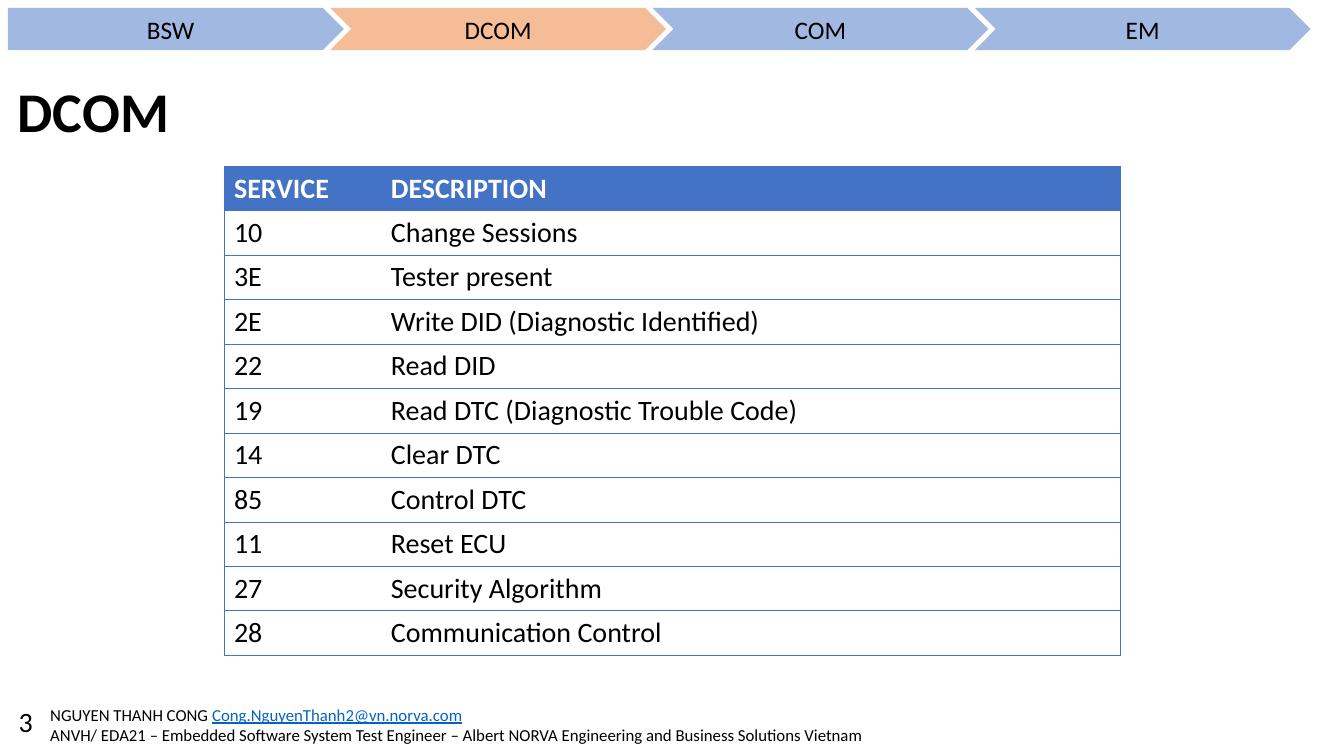
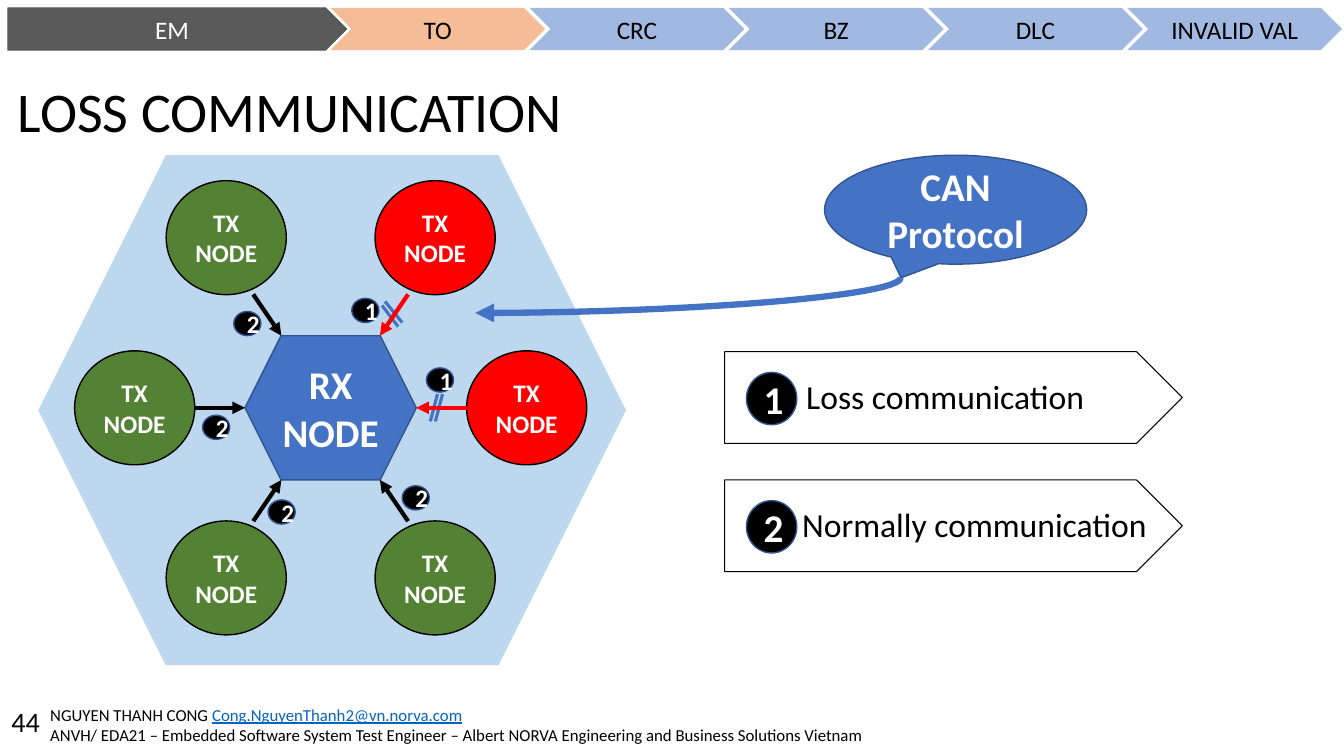
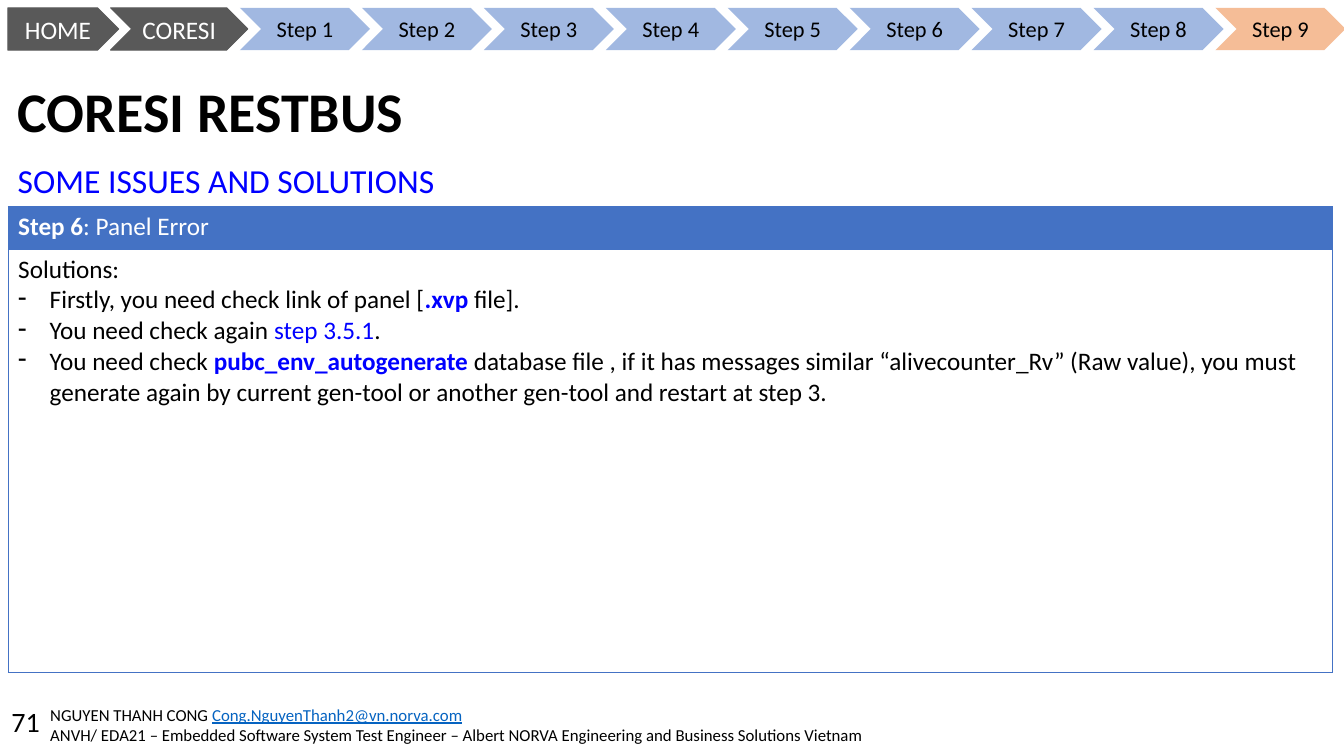
from lxml import etree
from pptx import Presentation
from pptx.dml.color import RGBColor
from pptx.enum.shapes import MSO_CONNECTOR, MSO_SHAPE
from pptx.enum.text import MSO_ANCHOR, PP_ALIGN
from pptx.oxml.ns import qn
from pptx.util import Pt

PENTAGON, CHEVRON = MSO_SHAPE.PENTAGON, MSO_SHAPE.CHEVRON
HEXAGON, OVAL = MSO_SHAPE.HEXAGON, MSO_SHAPE.OVAL
CALLOUT = MSO_SHAPE.OVAL_CALLOUT
STRAIGHT, CURVE = MSO_CONNECTOR.STRAIGHT, MSO_CONNECTOR.CURVE
CENTER = PP_ALIGN.CENTER
BOTTOM, MIDDLE = MSO_ANCHOR.BOTTOM, MSO_ANCHOR.MIDDLE

FONT = "Calibri"
NO_GRID_STYLE = "{2D5ABB26-0587-4C30-8999-92F81FD0307C}"
COLORS = {
    "black": "000000", "white": "FFFFFF", "blue": "4472C4", "orange": "ED7D31",
    "navy": "325491", "gray": "595959", "sky": "BDD7EE", "green": "548235",
    "red": "FF0000", "link": "0563C1", "accent": "0000FF",
}
RGB = {name: RGBColor.from_string(value) for name, value in COLORS.items()}


def write(tf, paragraphs, size, color="black", bold=False, align=None):
    """Fill a text frame; a run is a string or a (text, color, bold) tuple."""
    tf.word_wrap = True
    for i, runs in enumerate(paragraphs):
        p = tf.paragraphs[0] if i == 0 else tf.add_paragraph()
        p.alignment = align
        for run in runs:
            text, run_color, run_bold = (run, color, bold) if isinstance(run, str) else run
            r = p.add_run()
            r.text = text
            r.font.name, r.font.size, r.font.bold = FONT, Pt(size), run_bold
            r.font.color.rgb = RGB[run_color]
            r.font.underline = True if run_color == "link" else None


def add_box(s, kind, box, fill=None, line=None, weight=1, text="", size=18, color="white", bold=True):
    """Add a preset shape, or a text box when kind is None."""
    box = [Pt(v) for v in box]
    if kind is None:
        sp = s.shapes.add_textbox(*box)
        write(sp.text_frame, [[text]] if isinstance(text, str) else text, size, color, bold)
        return sp
    sp = s.shapes.add_shape(kind, *box)
    sp.shadow.inherit = False
    if fill:
        sp.fill.solid()
        sp.fill.fore_color.rgb = RGB[fill]
    else:
        sp.fill.background()
    if line:
        sp.line.color.rgb = RGB[line]
        sp.line.width = Pt(weight)
    else:
        sp.line.fill.background()
    if text:
        sp.text_frame.vertical_anchor = MIDDLE
        write(sp.text_frame, [[text]], size, color, bold, CENTER)
    return sp


prs = Presentation()
prs.slide_width, prs.slide_height = Pt(960), Pt(540)

# Shared frame: page number, footer, title and navigation bar
FOOTER = [
    ["NGUYEN THANH CONG ", ("Cong.NguyenThanh2@vn.norva.com", "link", False)],
    ["ANVH/ EDA21 – Embedded Software System Test Engineer – "
     "Albert NORVA Engineering and Business Solutions Vietnam"],
]
# Tab: label, left, width, fill, text size
service_tabs = [(label, 5.6 + 230.2 * i, 240, "orange" if label == "DCOM" else "blue", 18)
                for i, label in enumerate(["BSW", "DCOM", "COM", "EM"])]
error_tabs = [("EM", 5.6, 242, "gray", 18)] + [
    (label, 236 + 142.3 * i, 153.4, "orange" if label == "TO" else "blue", 18)
    for i, label in enumerate(["TO", "CRC", "BZ", "DLC", "INVALID VAL"])]
step_tabs = [("HOME", 5.6, 79.2, "gray", 18), ("CORESI", 79, 98, "gray", 18)] + [
    (f"Step {i + 1}", 171.4 + 87.1 * i, 92.9, "orange" if i == 8 else "blue", 16)
    for i in range(9)]
PAGES = [
    ("3", "DCOM", True, service_tabs),
    ("44", "LOSS COMMUNICATION", False, error_tabs),
    ("71", "CORESI RESTBUS", True, step_tabs),
]
slides = []
for number, title, title_bold, tabs in PAGES:
    s = prs.slides.add_slide(prs.slide_layouts[6])
    slides.append(s)
    page = add_box(s, None, (0, 499.7, 36.7, 28.8), text=number, size=20, color="black", bold=False)
    page.text_frame.paragraphs[0].alignment = CENTER
    add_box(s, None, (28.8, 499.7, 618.5, 28.8), text=FOOTER, size=12, color="black", bold=False)
    heading = add_box(s, None, (5.6, 40.3, 782, 66.2), text=title, size=40, color="black", bold=title_bold)
    heading.text_frame.vertical_anchor = BOTTOM
    heading.text_frame.paragraphs[0].line_spacing = 0.9
    for i, (label, left, width, fill, size) in enumerate(tabs):
        solid = fill == "gray"
        tab = add_box(s, CHEVRON if i else PENTAGON, (left, 5.6, width, 30.2), fill,
                      "gray" if solid else None, 0.75, label, size,
                      "white" if solid else "black", False)
        if not solid:
            rgb = tab.fill._xPr.find(qn("a:solidFill"))[0]
            etree.SubElement(rgb, qn("a:alpha"), val="50000")

service_slide, loss_slide, issue_slide = slides

# Loss communication: nodes around the receiver
s = loss_slide
add_box(s, HEXAGON, (27.4, 110.9, 419.8, 364.3), "sky")
hub_x, hub_y = 236.2, 291.3
add_box(s, HEXAGON, (hub_x - 61.2, hub_y - 51.5, 122.4, 103), "blue", "navy", text="RX NODE", size=28)

# Node: horizontal side, vertical side, lost, badge left, badge top
NODES = [
    (-1, -1, False, 167, 222.5),
    (-1, 0, False, 144.7, 296.6),
    (-1, 1, False, 191.5, 357.1),
    (1, 1, False, 287.3, 347),
    (1, 0, True, 304.6, 262.8),
    (1, -1, True, 251.3, 213.1),
]
# Link: kind, start, end, color, weight, arrow
links = [(STRAIGHT, start, end, "blue", 2.25, False) for start, end in [
    ((272.9, 218.2), (284.4, 233.3)), ((275, 215.3), (287.3, 230.4)),
    ((312.5, 281.5), (307.4, 301)), ((316.1, 281.5), (311, 301))]]
for side_x, side_y, lost, badge_x, badge_y in NODES:
    x = hub_x + side_x * (74.6 if side_y else 140)
    y = hub_y + side_y * 121.5
    add_box(s, OVAL, (x - 42.9, y - 40.7, 85.8, 81.4), "red" if lost else "green", "black", text="TX NODE")
    add_box(s, OVAL, (badge_x, badge_y, 19.4, 17.3), "black", "navy", text="1" if lost else "2")
    outer, inner = (55.3, 35.2) if side_y else (97.2, 61.2)
    links.append((STRAIGHT, (hub_x + side_x * outer, hub_y + side_y * 81),
                  (hub_x + side_x * inner, hub_y + side_y * 51.5),
                  "red" if lost else "black", 3, True))

for i, (label, left) in enumerate([("Loss communication", 568.8), ("Normally communication", 565.9)]):
    top = 251.2 + 91.6 * i
    add_box(s, PENTAGON, (517.7, top, 326.9, 65.5), None, "black", 0.75)
    add_box(s, OVAL, (533.2, top + 14.8, 36, 37.4), "black", "navy", text=str(i + 1), size=28)
    add_box(s, None, (left, top + 13.7, 281.5, 36), text=label, size=24, color="black", bold=False)
add_box(s, CALLOUT, (589, 110.9, 187.2, 77.8), "blue", "navy", text="CAN Protocol", size=28)

links.append((CURVE, (478.8, 59), (504, 362.9), "blue", 4.5, True))
for kind, start, end, color, weight, arrow in links:
    c = s.shapes.add_connector(kind, *[Pt(v) for v in start + end])
    c.line.color.rgb = RGB[color]
    c.line.width = Pt(weight)
    spPr = c._element.spPr
    if arrow:
        etree.SubElement(spPr.find(qn("a:ln")), qn("a:tailEnd"), type="triangle")
    etree.SubElement(spPr, qn("a:effectLst"))
    if kind == CURVE:
        # A quarter turn makes the arrow leave downwards and arrive leftwards
        spPr.find(qn("a:prstGeom")).set("prst", "curvedConnector2")
        spPr.find(qn("a:xfrm")).set("rot", "5400000")

# Tables
add_box(issue_slide, None, (5.6, 110.9, 950, 36), text="SOME ISSUES AND SOLUTIONS",
        size=24, color="accent", bold=False)
SERVICES = [
    ("10", "Change Sessions"), ("3E", "Tester present"),
    ("2E", "Write DID (Diagnostic Identified)"), ("22", "Read DID"),
    ("19", "Read DTC (Diagnostic Trouble Code)"), ("14", "Clear DTC"),
    ("85", "Control DTC"), ("11", "Reset ECU"),
    ("27", "Security Algorithm"), ("28", "Communication Control"),
]
service_rows = [[[[("SERVICE", "white", True)]], [[("DESCRIPTION", "white", True)]]]]
service_rows += [[[[code]], [[description]]] for code, description in SERVICES]
issue_rows = [
    [[[("Step 6", "white", True), (": Panel Error", "white", False)]]],
    [[
        ["Solutions:"],
        ["Firstly, you need check link of panel [", (".xvp ", "accent", True), "file]."],
        ["You need check again ", ("step 3.5.1", "accent", False), "."],
        ["You need check ", ("pubc_env_autogenerate ", "accent", True),
         "database file , if it has messages similar “alivecounter_Rv” (Raw value), you must "
         "generate again by current gen-tool or another gen-tool and restart at step 3."],
    ]],
]
# Table: slide, left, top, column widths, row heights, text size, rows
TABLES = [
    (service_slide, 160, 118.8, [112, 528], [31.75] * 11, 20, service_rows),
    (issue_slide, 5.8, 147.6, [946], [30.4, 302.4], 18, issue_rows),
]
for s, left, top, widths, heights, size, rows in TABLES:
    frame = s.shapes.add_table(len(rows), len(widths), Pt(left), Pt(top), Pt(sum(widths)), Pt(sum(heights)))
    table = frame.table
    table.first_row = table.horz_banding = False
    table._tbl.tblPr.find(qn("a:tableStyleId")).text = NO_GRID_STYLE
    for col, width in zip(table.columns, widths):
        col.width = Pt(width)
    for i, (height, row) in enumerate(zip(heights, rows)):
        table.rows[i].height = Pt(height)
        for j, paragraphs in enumerate(row):
            cell = table.cell(i, j)
            write(cell.text_frame, paragraphs, size)
            for p in cell.text_frame.paragraphs[1:]:
                pPr = p._p.get_or_add_pPr()
                pPr.set("marL", str(Pt(22.5)))
                pPr.set("indent", str(-Pt(22.5)))
                etree.SubElement(pPr, qn("a:buChar"), char="-")
            tcPr = cell._tc.get_or_add_tcPr()
            edges = {"lnL": j == 0, "lnR": j == len(widths) - 1, "lnT": True, "lnB": True}
            for edge, drawn in edges.items():
                if drawn:
                    ln = etree.SubElement(tcPr, qn(f"a:{edge}"), w=str(Pt(0.5)))
                    solid_fill = etree.SubElement(ln, qn("a:solidFill"))
                    etree.SubElement(solid_fill, qn("a:srgbClr"), val=COLORS["blue"])
            if i == 0:
                cell.fill.solid()
                cell.fill.fore_color.rgb = RGB["blue"]
            else:
                cell.fill.background()

prs.save("out.pptx")
